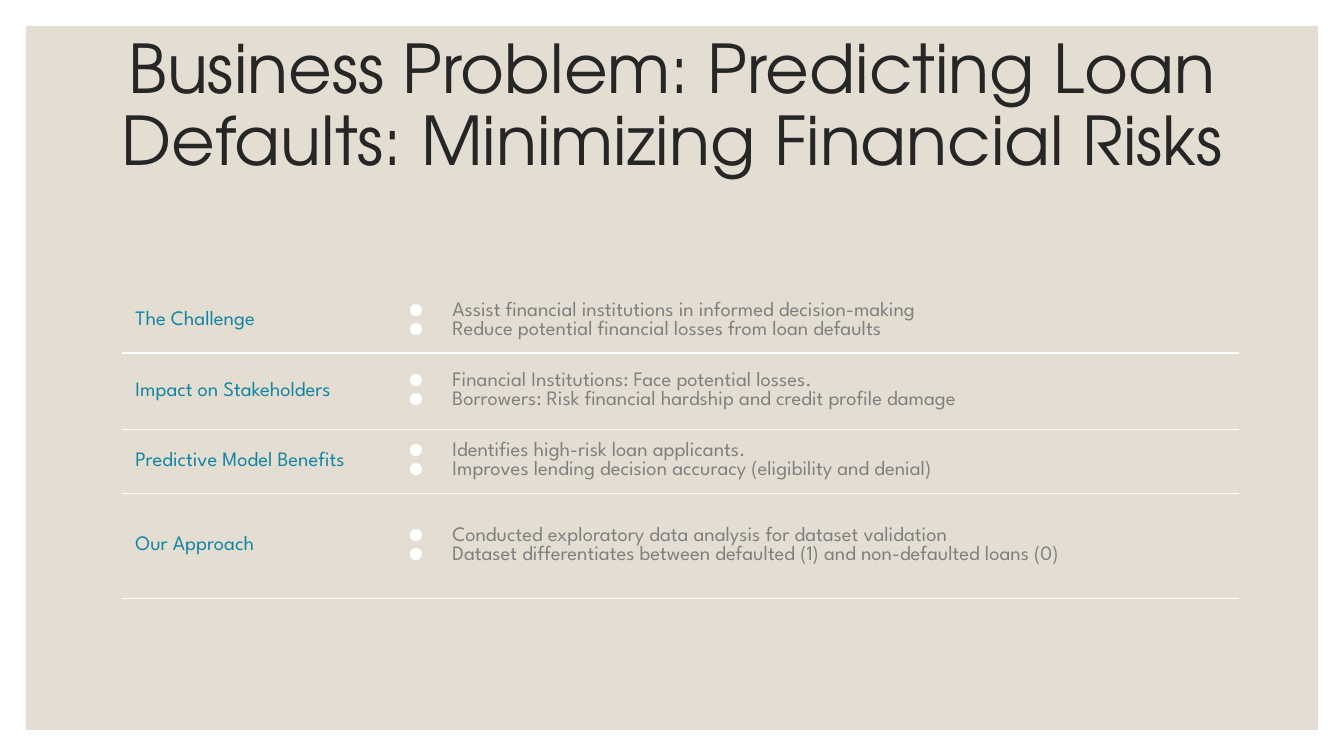
from lxml.etree import SubElement
from pptx import Presentation
from pptx.dml.color import RGBColor
from pptx.enum.shapes import MSO_SHAPE
from pptx.enum.text import MSO_ANCHOR, PP_ALIGN
from pptx.oxml import parse_xml
from pptx.oxml.ns import nsdecls, qn
from pptx.util import Cm, Pt

# Content
TITLE = "Business Problem: Predicting Loan Defaults: Minimizing Financial Risks"
ROWS = [  # height in cm, topic, points
    (1.21, "The Challenge", [
        "Assist financial institutions in informed decision-making",
        "Reduce potential financial losses from loan defaults"]),
    (1.44, "Impact on Stakeholders", [
        "Financial Institutions: Face potential losses.",
        "Borrowers: Risk financial hardship and credit profile damage"]),
    (1.21, "Predictive Model Benefits", [
        "Identifies high-risk loan applicants.",
        "Improves lending decision accuracy (eligibility and denial)"]),
    (1.98, "Our Approach", [
        "Conducted exploratory data analysis for dataset validation",
        "Dataset differentiates between defaulted (1) and non-defaulted loans (0)"]),
]

# Look
PAGE_WIDTH, PAGE_HEIGHT, BORDER = 25.4, 14.29, 0.49
COLUMN_WIDTHS = (4.72, 16.38)
INSET = Cm(0.25)
WHITE, SAND, INK, TEAL, GREY = "FFFFFF", "E3DED1", "262626", "1485A4", "808080"
NO_STYLE_NO_GRID = "{2D5ABB26-0587-4C30-8999-92F81FD0307C}"


def color(value):
    return RGBColor.from_string(value)


def set_insets(target):
    target.margin_left = target.margin_right = INSET
    target.margin_top = target.margin_bottom = INSET


def style_font(paragraph, name, size, value):
    font = paragraph.font
    font.name, font.size = name, Pt(size)
    font.color.rgb = color(value)


def add_bullet(paragraph):
    properties = paragraph._p.get_or_add_pPr()
    properties.set("marL", str(Cm(1.27)))
    properties.set("indent", str(-Cm(0.84)))
    bullet = [
        parse_xml(f'<a:buClr {nsdecls("a")}><a:srgbClr val="{WHITE}"/></a:buClr>'),
        parse_xml(f'<a:buChar {nsdecls("a")} char="●"/>'),
    ]
    for position, element in enumerate(bullet):
        properties.insert(position, element)


def fill_cell(cell, lines, value, bulleted):
    set_insets(cell)
    cell.vertical_anchor = MSO_ANCHOR.MIDDLE
    cell.fill.background()
    frame = cell.text_frame
    frame.text = "\n".join(lines)
    for paragraph in frame.paragraphs:
        style_font(paragraph, "League Spartan", 11, value)
        if bulleted:
            add_bullet(paragraph)
    # Rule under the row
    rule = parse_xml(f'<a:lnB {nsdecls("a")} w="{Pt(0.75)}"/>')
    SubElement(SubElement(rule, qn("a:solidFill")), qn("a:srgbClr")).set("val", WHITE)
    cell._tc.get_or_add_tcPr().insert(0, rule)


deck = Presentation()
deck.slide_width, deck.slide_height = Cm(PAGE_WIDTH), Cm(PAGE_HEIGHT)
page = deck.slides.add_slide(deck.slide_layouts[5])

# Sand panel behind everything
panel = page.shapes.add_shape(
    MSO_SHAPE.RECTANGLE, Cm(BORDER), Cm(BORDER),
    Cm(PAGE_WIDTH - 2 * BORDER), Cm(PAGE_HEIGHT - 2 * BORDER))
panel.shadow.inherit = False
panel.fill.solid()
panel.fill.fore_color.rgb = color(SAND)
panel.line.fill.background()
page.shapes._spTree.insert(2, panel._element)

# Title
title = page.shapes.title
title.left, title.top, title.width, title.height = Cm(2), Cm(0.6), Cm(21.41), Cm(2.87)
frame = title.text_frame
frame.text = TITLE
frame.word_wrap = True
frame.vertical_anchor = MSO_ANCHOR.MIDDLE
set_insets(frame)
heading = frame.paragraphs[0]
heading.alignment = PP_ALIGN.CENTER
heading.line_spacing = 0.9
style_font(heading, "TeX Gyre Adventor", 36, INK)

# Table of topics and points
table = page.shapes.add_table(
    len(ROWS), len(COLUMN_WIDTHS), Cm(2.31), Cm(5.46),
    Cm(sum(COLUMN_WIDTHS)), Cm(sum(row[0] for row in ROWS))).table
table.first_row = table.horz_banding = False
table._tbl.tblPr.find(qn("a:tableStyleId")).text = NO_STYLE_NO_GRID
for column, width in zip(table.columns, COLUMN_WIDTHS):
    column.width = Cm(width)
for index, (height, topic, points) in enumerate(ROWS):
    table.rows[index].height = Cm(height)
    fill_cell(table.cell(index, 0), [topic], TEAL, bulleted=False)
    fill_cell(table.cell(index, 1), points, GREY, bulleted=True)

deck.save("out.pptx")
